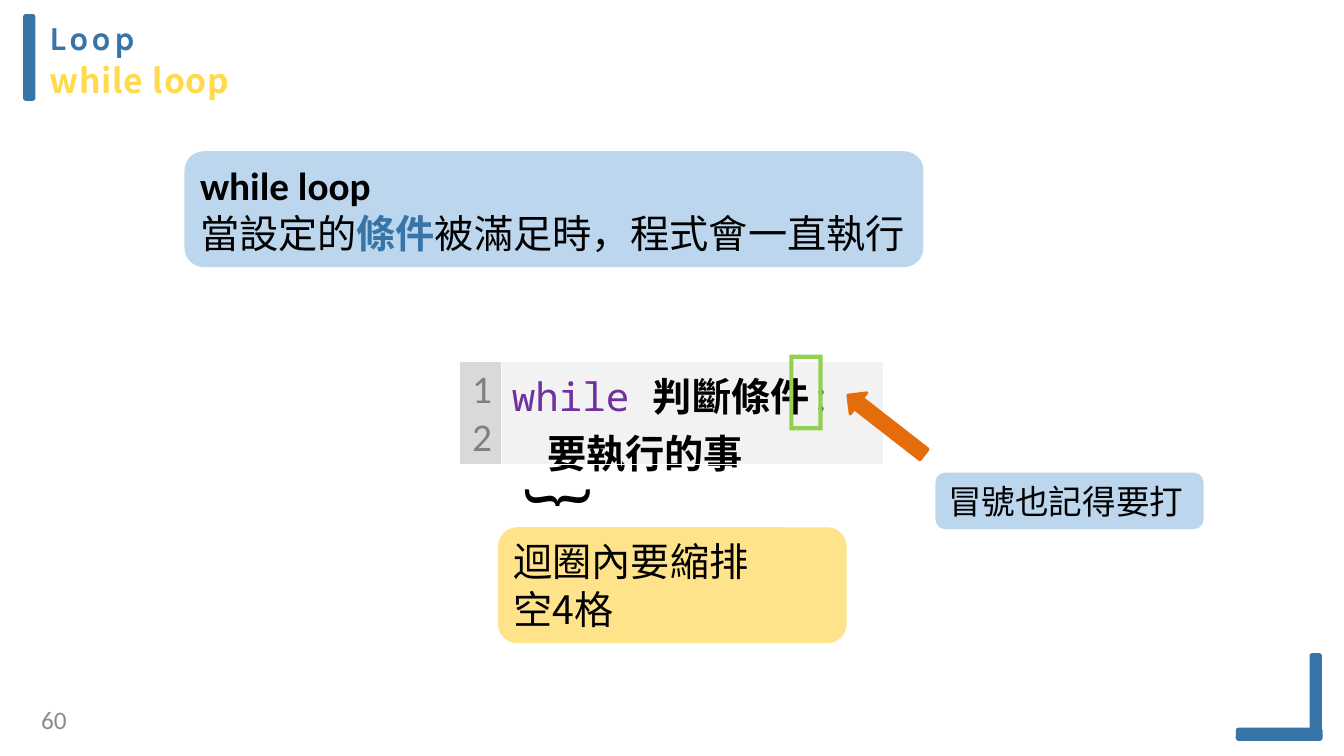
import pptx
import pptx.util
import pptx.dml.color
import pptx.enum.shapes
import pptx.enum.text
import pptx.oxml.ns
import lxml.etree

Pt = pptx.util.Pt
Shape = pptx.enum.shapes.MSO_SHAPE
Align = pptx.enum.text.PP_ALIGN
Anchor = pptx.enum.text.MSO_ANCHOR
CJK = "Noto Sans CJK SC"
MONO = "Noto Sans Mono"
BLUE, PALE_BLUE, YELLOW = "3774A7", "BCD6ED", "FFDA4A"


def color(value):
    return pptx.dml.color.RGBColor.from_string(value)


def write(paragraph, text, size=28, font=CJK, ink="000000", bold=False, spacing=0):
    run = paragraph.add_run()
    run.text = text
    run.font.size = Pt(size)
    run.font.name = font
    run.font.bold = bold
    run.font.color.rgb = color(ink)
    properties = run.font._element
    if spacing:
        properties.set("spc", str(round(spacing * 100)))
    east_asian = lxml.etree.SubElement(properties, pptx.oxml.ns.qn("a:ea"))
    east_asian.set("typeface", CJK)


class LessonSlide:
    def __init__(self, presentation):
        self.slide = presentation.slides.add_slide(presentation.slide_layouts[5])
        self.shapes = self.slide.shapes

    def fill_frame(self, frame, lines, align=Align.LEFT, leading=None, before=0):
        for index, line in enumerate(lines):
            paragraph = frame.paragraphs[0] if index == 0 else frame.add_paragraph()
            paragraph.alignment = align
            paragraph.space_before = Pt(before)
            if leading and index:
                paragraph.line_spacing = Pt(leading)
            for text, style in line:
                write(paragraph, text, **style)

    def set_margins(self, frame, left, top, right, bottom):
        frame.margin_left, frame.margin_top = Pt(left), Pt(top)
        frame.margin_right, frame.margin_bottom = Pt(right), Pt(bottom)

    def title(self, box, lines):
        heading = self.shapes.title
        heading.left, heading.top, heading.width, heading.height = map(Pt, box)
        frame = heading.text_frame
        frame.auto_size = pptx.enum.text.MSO_AUTO_SIZE.NONE
        frame.vertical_anchor = Anchor.TOP
        frame.word_wrap = True
        self.set_margins(frame, 0.7, 0.7, 0, 0)
        self.fill_frame(frame, lines, leading=29.7, before=1)

    def shape(self, kind, box, fill, line=None, width=0, rotation=0):
        item = self.shapes.add_shape(kind, *map(Pt, box))
        item.shadow.inherit = False
        item.fill.solid()
        item.fill.fore_color.rgb = color(fill)
        if line:
            item.line.color.rgb = color(line)
            item.line.width = Pt(width)
        else:
            item.line.fill.background()
        item.rotation = rotation
        return item

    def bar(self, box):
        edge = self.shape(Shape.ROUNDED_RECTANGLE, box, "3775A9", BLUE, 3)
        edge.adjustments[0] = 0.1

    def callout(self, box, fill, lines):
        frame = self.shape(Shape.ROUNDED_RECTANGLE, box, fill).text_frame
        frame.word_wrap = True
        frame.vertical_anchor = Anchor.MIDDLE
        self.set_margins(frame, 7.2, 3.6, 0, 3.6)
        self.fill_frame(frame, lines, leading=34.2)

    def text(self, box, lines, align, margins, vertical=None):
        frame = self.shapes.add_textbox(*map(Pt, box)).text_frame
        frame.word_wrap = True
        self.set_margins(frame, *margins)
        if vertical:
            frame._txBody.bodyPr.set("vert", vertical)
        self.fill_frame(frame, lines, align)

    def code_table(self, box, widths, cells):
        table = self.shapes.add_table(1, len(widths), *map(Pt, box)).table
        table.first_row = table.horz_banding = False
        table.rows[0].height = Pt(box[3])
        for index, (fill, align, bottom, lines) in enumerate(cells):
            table.columns[index].width = Pt(widths[index])
            cell = table.cell(0, index)
            cell.fill.solid()
            cell.fill.fore_color.rgb = color(fill)
            cell.margin_bottom = Pt(bottom)
            self.fill_frame(cell.text_frame, lines, align)


def main():
    presentation = pptx.Presentation()
    presentation.slide_width, presentation.slide_height = Pt(960), Pt(540)
    lesson = LessonSlide(presentation)

    lesson.title((34.6, 11.5, 325.4, 60.5), [
        [("Loop", dict(size=24, font="Karla", ink=BLUE, bold=True, spacing=2.4))],
        [("while loop", dict(size=24, ink=YELLOW, bold=True, spacing=0.6))],
    ])
    for edge in ((18, 11.5, 5.8, 59), (936.9, 468, 5.8, 59.4), (884.2, 521.3, 59, 6.4)):
        lesson.bar(edge)
    lesson.text((5.8, 503.3, 41.8, 21.6),
                [[("60", dict(size=18, font="Calibri", ink="8C8C8C"))]],
                Align.RIGHT, (0, 0, 0, 0))

    lesson.callout((131.8, 108, 527.8, 82.8), PALE_BLUE, [
        [("while loop", dict(font="Calibri", bold=True))],
        [("當設定的", {}), ("條件", dict(ink=BLUE, bold=True)),
         ("被滿足時，程式會一直執行", {})],
    ])
    lesson.callout((355.7, 376.6, 249.1, 82.8), "FFE38B",
                   [[("迴圈內要縮排", {})], [("空4格", {})]])
    lesson.text((360, 339.8, 79.9, 18), [[("}", dict(size=54, font="Calibri"))]],
                Align.CENTER, (7.2, 3.6, 7.2, 3.6), vertical="eaVert")

    number = dict(font="Calibri", ink="808080")
    lesson.code_table((328.3, 257.8, 303.1, 74.2), (30.2, 272.9), [
        ("D9D9D9", Align.RIGHT, 2, [[("1", number)], [("2", number)]]),
        ("F2F2F2", Align.LEFT, -10.5, [
            [("while ", dict(font=MONO, ink="7030A0")),
             ("判斷條件", dict(font=MONO, bold=True)), (":", dict(font=MONO))],
            [("    ", dict(font=MONO)), ("要執行的事", dict(font=MONO, bold=True))],
        ]),
    ])

    lesson.callout((668.2, 337.7, 191.5, 40.3), PALE_BLUE,
                   [[("冒號也記得要打", dict(size=24))]])
    lesson.shape(Shape.FRAME, (563.8, 253.4, 23.8, 54), "92D050")
    lesson.shape(Shape.LEFT_ARROW, (598.3, 293.8, 69.1, 19.4), "E46C0A",
                 "E46C0A", 2, rotation=37.9)
    presentation.save("out.pptx")


if __name__ == "__main__":
    main()
